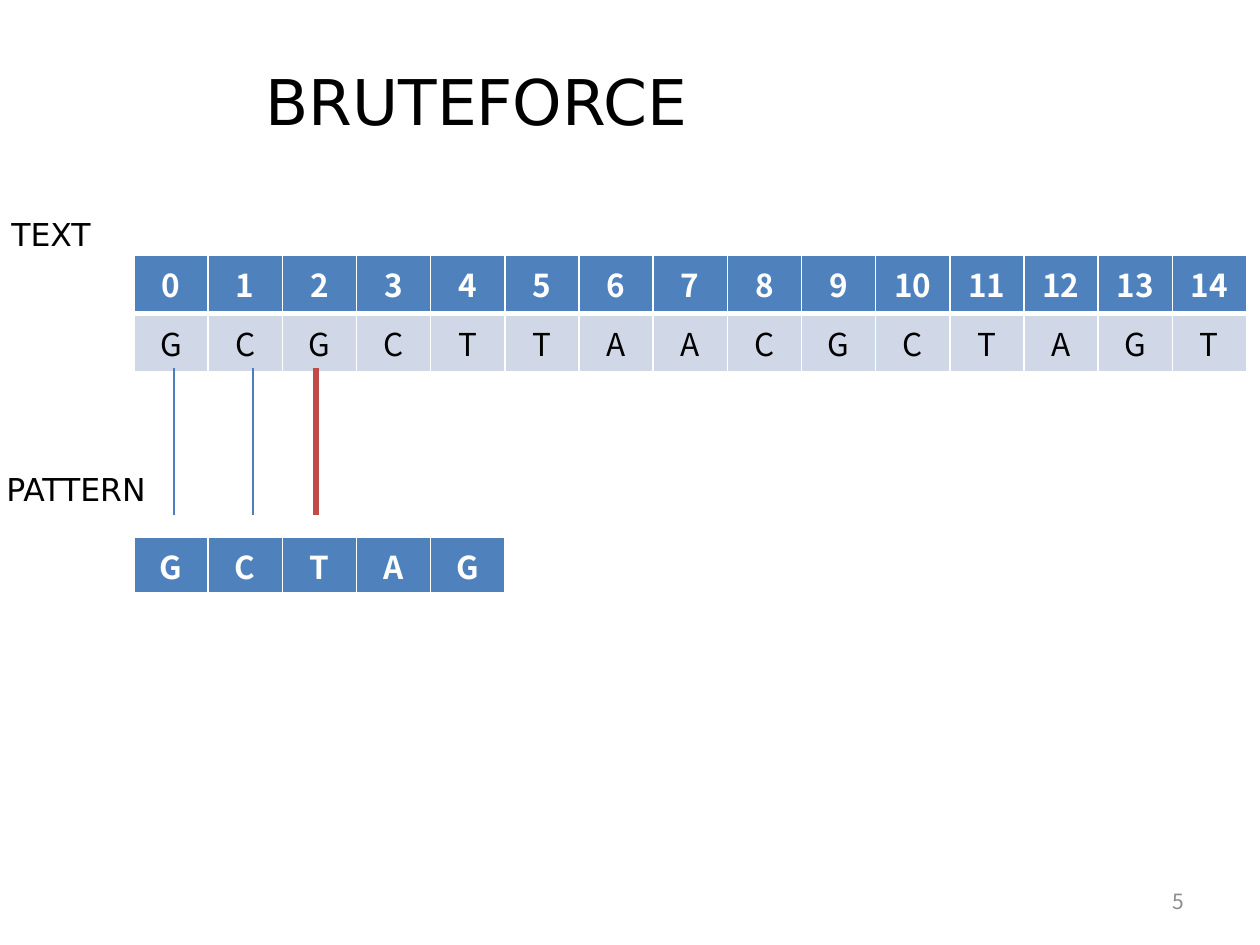
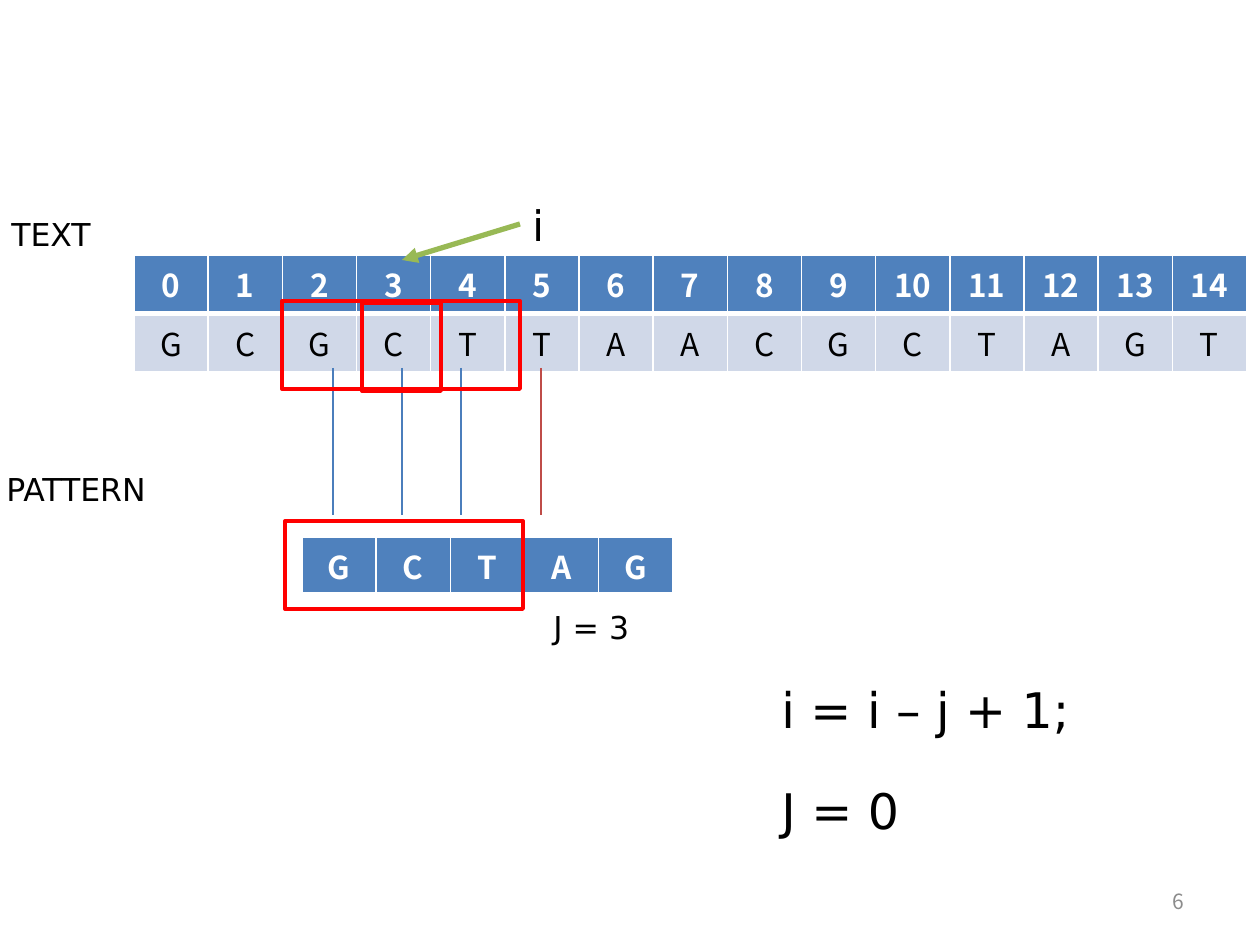
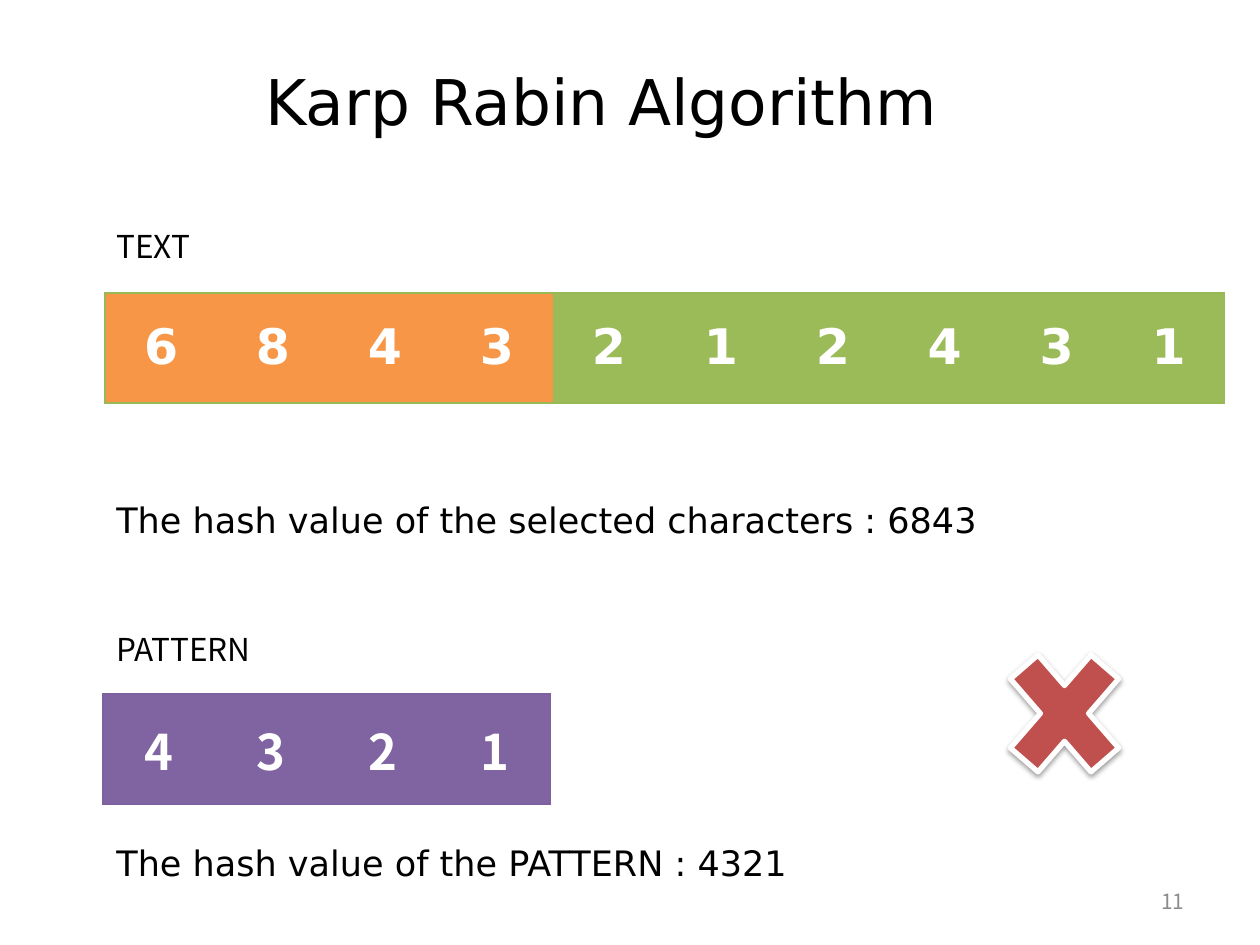
from dataclasses import dataclass
from typing import Optional

from lxml.etree import SubElement
from pptx import Presentation
from pptx.dml.color import RGBColor
from pptx.enum.shapes import MSO_CONNECTOR, MSO_SHAPE
from pptx.enum.text import MSO_ANCHOR, MSO_AUTO_SIZE, PP_ALIGN
from pptx.oxml.ns import qn
from pptx.util import Emu, Pt

PIXELS_PER_INCH = 126
TITLE_ONLY, BLANK = 5, 6
SANS, NOTO = "DejaVu Sans", "Noto Sans CJK KR"

WHITE, BLACK, GRAY, RED = "FFFFFF", "000000", "8C8C8C", "FF0000"
HEADER_BLUE, PALE_BLUE = "4F81BD", "D0D8E8"
LINE_BLUE, LINE_RED, LINE_GREEN = "4B7EBC", "BF4C48", "98B955"
GREEN, ORANGE, PURPLE, PURPLE_EDGE = "9BBB59", "F79646", "8064A2", "7D60A0"
CROSS_RED = "C0504D"

TEXT_LETTERS = "GCGCTTAACGCTAGT"
PATTERN_LETTERS = "GCTAG"
LETTER_ROW_HEIGHT = 57
LETTER_COLUMN_WIDTH = 74.2
DIGIT_CELL = 112
MATCH_TOP, MATCH_BOTTOM = 368, 515


@dataclass
class Box:
    left: float
    top: float
    width: float
    height: float


@dataclass
class Label:
    text: str
    box: Box
    size: int = 18
    font: str = SANS
    color: str = BLACK
    align: PP_ALIGN = PP_ALIGN.LEFT
    anchor: MSO_ANCHOR = MSO_ANCHOR.TOP
    grow: bool = True


@dataclass
class Line:
    start: tuple[int, int]
    end: tuple[int, int]
    color: str = LINE_BLUE
    width: float = 0.75
    arrow: bool = False


@dataclass
class Cell:
    text: str
    fill: str
    color: str = WHITE
    bold: bool = True
    size: int = 18
    font: str = NOTO


@dataclass
class Border:
    color: str
    width: float


def px(length: float) -> Emu:
    return Emu(round(length * 914400 / PIXELS_PER_INCH))


def place(box: Box) -> tuple[Emu, Emu, Emu, Emu]:
    return px(box.left), px(box.top), px(box.width), px(box.height)


def rgb(color: str) -> RGBColor:
    return RGBColor.from_string(color)


def style_paragraph(paragraph, size, font, color, align, bold=False) -> None:
    paragraph.alignment = align
    paragraph.font.size = Pt(size)
    paragraph.font.name = font
    paragraph.font.bold = bold
    paragraph.font.color.rgb = rgb(color)


def add_label(slide, label: Label) -> None:
    shape = slide.shapes.add_textbox(*place(label.box))
    frame = shape.text_frame
    frame.word_wrap = True
    frame.auto_size = MSO_AUTO_SIZE.SHAPE_TO_FIT_TEXT if label.grow else MSO_AUTO_SIZE.NONE
    frame.vertical_anchor = label.anchor
    frame.text = label.text
    style_paragraph(frame.paragraphs[0], label.size, label.font, label.color, label.align)


def add_slide(presentation, number: int, title: Optional[str] = None):
    layout = presentation.slide_layouts[TITLE_ONLY if title else BLANK]
    slide = presentation.slides.add_slide(layout)
    if title:
        shape = slide.shapes.title
        shape.left, shape.top, shape.width, shape.height = place(Box(253, 37, 890, 127))
        frame = shape.text_frame
        frame.text = title
        frame.auto_size = MSO_AUTO_SIZE.NONE
        frame.vertical_anchor = MSO_ANCHOR.MIDDLE
        style_paragraph(frame.paragraphs[0], 36, SANS, BLACK, PP_ALIGN.LEFT)
    add_label(slide, Label(str(number), Box(903, 876, 294, 50), 12, NOTO, GRAY,
                           PP_ALIGN.RIGHT, MSO_ANCHOR.MIDDLE, False))
    return slide


def add_line(slide, line: Line) -> None:
    connector = slide.shapes.add_connector(
        MSO_CONNECTOR.STRAIGHT, *map(px, (*line.start, *line.end)))
    connector.line.color.rgb = rgb(line.color)
    connector.line.width = Pt(line.width)
    if line.arrow:
        SubElement(connector.line._get_or_add_ln(), qn("a:tailEnd"), type="triangle")
    SubElement(connector._element.spPr, qn("a:effectLst"))


def add_match_line(slide, x: int, color: str = LINE_BLUE, width: float = 0.75) -> None:
    add_line(slide, Line((x, MATCH_TOP), (x, MATCH_BOTTOM), color, width))


def add_frame(slide, box: Box) -> None:
    shape = slide.shapes.add_shape(MSO_SHAPE.RECTANGLE, *place(box))
    shape.shadow.inherit = False
    shape.fill.background()
    shape.line.color.rgb = rgb(RED)
    shape.line.width = Pt(2.25)


def add_cross(slide, box: Box) -> None:
    shape = slide.shapes.add_shape(MSO_SHAPE.MATH_MULTIPLY, *place(box))
    shape.fill.solid()
    shape.fill.fore_color.rgb = rgb(CROSS_RED)
    shape.line.color.rgb = rgb(WHITE)
    shape.line.width = Pt(3)
    effects = SubElement(shape._element.spPr, qn("a:effectLst"))
    shadow = SubElement(effects, qn("a:outerShdw"), blurRad="40000", dist="20000",
                        dir="5400000", rotWithShape="0")
    color = SubElement(shadow, qn("a:srgbClr"), val=BLACK)
    SubElement(color, qn("a:alpha"), val="38000")


def set_border(cell, side: str, border: Optional[Border]) -> None:
    properties = cell._tc.get_or_add_tcPr()
    line = SubElement(properties, qn(f"a:ln{side}"))
    if border is None:
        SubElement(line, qn("a:noFill"))
        return
    line.set("w", str(Pt(border.width)))
    SubElement(SubElement(line, qn("a:solidFill")), qn("a:srgbClr"), val=border.color)


def add_grid(slide, box: Box, rows: list[list[Cell]], outline: Border,
             inner: Optional[Border] = None, header: Optional[Border] = None) -> None:
    count = len(rows[0])
    table = slide.shapes.add_table(len(rows), count, *place(box)).table
    table.first_row = table.horz_banding = False
    for column in table.columns:
        column.width = px(box.width / count)
    for row_index, row in enumerate(rows):
        for column_index, content in enumerate(row):
            cell = table.cell(row_index, column_index)
            first, last = column_index == 0, column_index == count - 1
            above = header if header and row_index == 1 else outline
            below = header if header and row_index == 0 else outline
            set_border(cell, "L", outline if first else inner)
            set_border(cell, "R", outline if last else inner)
            set_border(cell, "T", above)
            set_border(cell, "B", below)
            cell.fill.solid()
            cell.fill.fore_color.rgb = rgb(content.fill)
            cell.vertical_anchor = MSO_ANCHOR.MIDDLE
            cell.text = content.text
            style_paragraph(cell.text_frame.paragraphs[0], content.size, content.font,
                            content.color, PP_ALIGN.CENTER, content.bold)


def add_letter_grid(slide, left: float, top: float, rows: list[list[Cell]]) -> None:
    box = Box(left, top, LETTER_COLUMN_WIDTH * len(rows[0]), LETTER_ROW_HEIGHT * len(rows))
    thin = Border(WHITE, 1)
    add_grid(slide, box, rows, thin, thin, Border(WHITE, 3))


def add_digit_grid(slide, left: float, top: float, cells: list[Cell], edge: str) -> None:
    box = Box(left, top, DIGIT_CELL * len(cells), 110)
    add_grid(slide, box, [cells], Border(edge, 0.75))


def add_search(slide, pattern_left: int) -> None:
    indexes = [Cell(str(index), HEADER_BLUE) for index in range(len(TEXT_LETTERS))]
    letters = [Cell(letter, PALE_BLUE, BLACK, False) for letter in TEXT_LETTERS]
    add_letter_grid(slide, 134, 255, [indexes, letters])
    add_label(slide, Label("TEXT", Box(-1, 209, 217, 50)))
    add_label(slide, Label("PATTERN", Box(-6, 464, 217, 50)))
    pattern = [Cell(letter, HEADER_BLUE) for letter in PATTERN_LETTERS]
    add_letter_grid(slide, pattern_left, 537, [pattern])


def build_first_mismatch(presentation) -> None:
    slide = add_slide(presentation, 5, "BRUTEFORCE")
    add_search(slide, 134)
    for x in (174, 253):
        add_match_line(slide, x)
    add_match_line(slide, 316, LINE_RED, 3)


def build_shifted_pattern(presentation) -> None:
    slide = add_slide(presentation, 6)
    add_search(slide, 302)
    for x in (333, 402, 461):
        add_match_line(slide, x)
    add_match_line(slide, 541, LINE_RED)
    for box in (Box(285, 521, 238, 88), Box(282, 301, 238, 88), Box(362, 303, 79, 88)):
        add_frame(slide, box)
    add_line(slide, Line((520, 224), (402, 260), LINE_GREEN, 3, True))
    for label in (
        Label("i", Box(520, 193, 79, 63), 24),
        Label("J = 3", Box(541, 602, 169, 50)),
        Label("i = i – j + 1;", Box(769, 673, 352, 72), 28),
        Label("J = 0", Box(769, 774, 352, 72), 28),
    ):
        add_label(slide, label)


def build_hash_comparison(presentation) -> None:
    slide = add_slide(presentation, 11, "Karp Rabin Algorithm")
    text, window = "6843212431", 4
    digits = [Cell(digit, ORANGE if index < window else GREEN, size=28, font=SANS)
              for index, digit in enumerate(text)]
    add_digit_grid(slide, 105, 293, digits, LINE_GREEN)
    pattern = [Cell(digit, PURPLE, size=28) for digit in "4321"]
    add_digit_grid(slide, 103, 694, pattern, PURPLE_EDGE)
    for content, top, width, size, font in (
        ("TEXT", 221, 630, 18, NOTO),
        ("PATTERN", 624, 630, 18, NOTO),
        ("The hash value of the PATTERN : 4321", 835, 799, 20, SANS),
        ("The hash value of the selected characters : 6843", 492, 1121, 20, SANS),
    ):
        add_label(slide, Label(content, Box(104, top, width, 55 if size == 20 else 50),
                               size, font, align=PP_ALIGN.JUSTIFY))
    add_cross(slide, Box(987, 624, 155, 179))


def main() -> None:
    presentation = Presentation()
    presentation.slide_width, presentation.slide_height = px(1260), px(945)
    build_first_mismatch(presentation)
    build_shifted_pattern(presentation)
    build_hash_comparison(presentation)
    presentation.save("out.pptx")


main()
